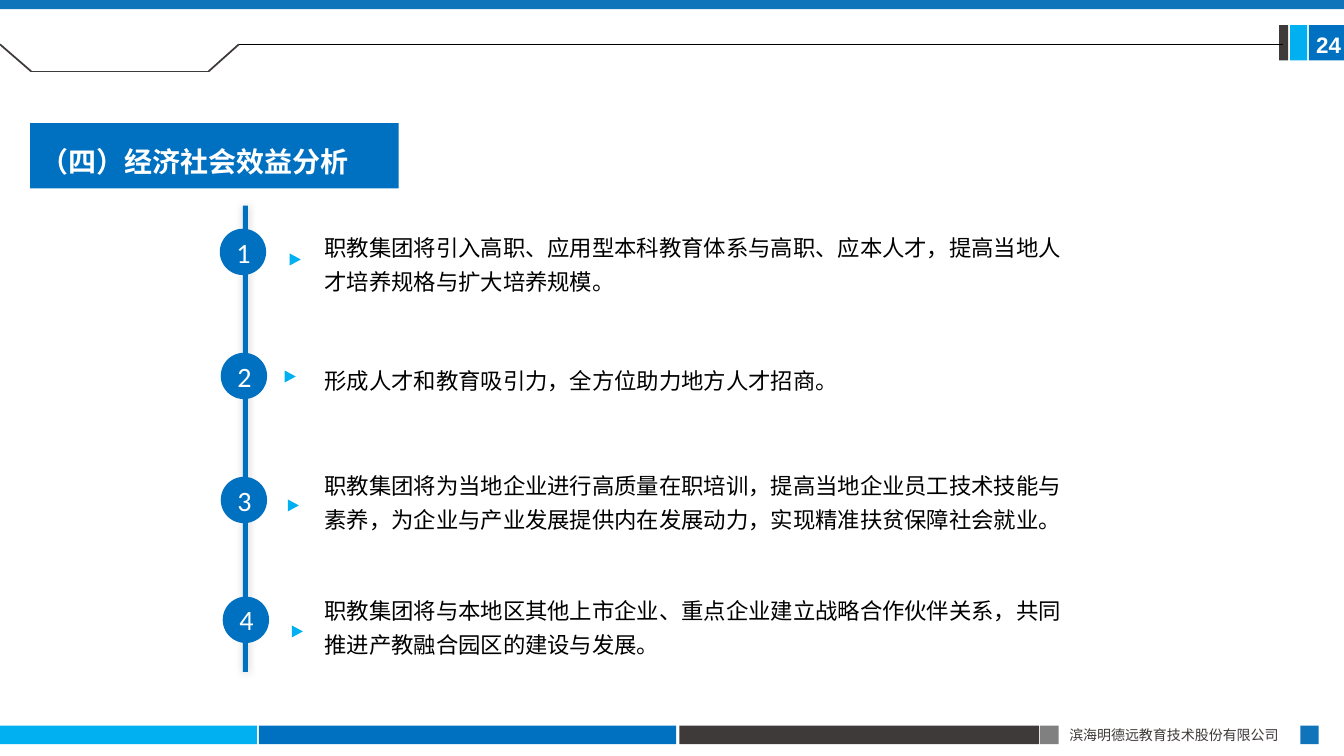
from dataclasses import dataclass

from lxml import etree
from pptx import Presentation
from pptx.dml.color import RGBColor
from pptx.enum import shapes, text
from pptx.oxml import ns
from pptx.util import Pt


@dataclass(frozen=True)
class Theme:
    blue: str = "0070C0"
    trim: str = "1074BB"
    sky: str = "00B0F0"
    dark: str = "3E3A39"
    grey: str = "808080"
    white: str = "FFFFFF"
    black: str = "000000"
    latin: str = "Calibri"
    number: str = "Arial"
    chinese: str = "Noto Sans CJK SC"
    small: float = 10
    body: float = 16
    heading: float = 20


THEME = Theme()
KIND = shapes.MSO_SHAPE
MIDDLE = text.MSO_ANCHOR.MIDDLE
CENTER = text.PP_ALIGN.CENTER

# Badge left and top, arrow left and top, text top and height, wording
POINTS = [
    (157, 163.4, 206.6, 181.4, 150.5, 72,
     "职教集团将引入高职、应用型本科教育体系与高职、应本人才，提高当地人才培养规格与扩大培养规模。"),
    (157.7, 252, 203, 265, 244.1, 51.1,
     "形成人才和教育吸引力，全方位助力地方人才招商。"),
    (157.7, 340.6, 205.2, 357.1, 331.2, 51.1,
     "职教集团将为当地企业进行高质量在职培训，提高当地企业员工技术技能与素养，"
     "为企业与产业发展提供内在发展动力，实现精准扶贫保障社会就业。"),
    (159.1, 426.2, 208.1, 447.1, 419.8, 51.8,
     "职教集团将与本地区其他上市企业、重点企业建立战略合作伙伴关系，共同推进产教融合园区的建设与发展。"),
]


def add_block(page, left, top, width, height, color, kind=KIND.RECTANGLE):
    block = page.shapes.add_shape(kind, Pt(left), Pt(top), Pt(width), Pt(height))
    block.shadow.inherit = False
    block.fill.solid()
    block.fill.fore_color.rgb = RGBColor.from_string(color)
    block.line.fill.background()
    return block


def add_line(page, start, end, color, weight):
    line = page.shapes.add_connector(
        shapes.MSO_CONNECTOR.STRAIGHT, *(Pt(value) for value in (*start, *end)))
    line.line.color.rgb = RGBColor.from_string(color)
    line.line.width = Pt(weight)
    etree.SubElement(line._element.spPr, ns.qn("a:effectLst"))


def write(box, *parts, size=THEME.body, color=THEME.white, bold=False,
          align=text.PP_ALIGN.LEFT, anchor=MIDDLE, spacing=None, inset=None):
    """Write one paragraph from (wording, font) parts."""
    frame = box.text_frame
    frame.word_wrap = True
    frame.vertical_anchor = anchor
    if inset is not None:
        frame.margin_left = frame.margin_right = Pt(inset)
        frame.margin_top = frame.margin_bottom = Pt(inset)
    para = frame.paragraphs[0]
    para.alignment = align
    para.line_spacing = spacing
    for wording, font in parts:
        span = para.add_run()
        span.text = wording
        span.font.name = font
        span.font.size = Pt(size)
        span.font.bold = bold
        span.font.color.rgb = RGBColor.from_string(color)
        etree.SubElement(span._r.get_or_add_rPr(), ns.qn("a:ea"),
                         typeface=THEME.chinese)


def add_text(page, left, top, width, height, *parts, **style):
    box = page.shapes.add_textbox(Pt(left), Pt(top), Pt(width), Pt(height))
    write(box, *parts, **style)


def add_glow(block, color, blur, opacity):
    effects = block._element.spPr.find(ns.qn("a:effectLst"))
    shadow = etree.SubElement(effects, ns.qn("a:outerShdw"),
                              blurRad=str(Pt(blur)), dist="0", dir="13500000")
    tint = etree.SubElement(shadow, ns.qn("a:srgbClr"), val=color)
    etree.SubElement(tint, ns.qn("a:alpha"), val=str(opacity * 1000))


def add_footer(page):
    for left, width, color in [
            (0, 183.6, THEME.sky), (185, 298.1, THEME.blue),
            (485.3, 257, THEME.dark), (743, 13.2, THEME.grey),
            (928.8, 13.2, THEME.trim)]:
        add_block(page, left, 518.4, width, 13.2, color)
    add_text(page, 756.7, 515.5, 172.8, 19.4,
             ("滨海明德远教育技术股份有限公司", THEME.chinese),
             size=THEME.small, color=THEME.dark,
             align=text.PP_ALIGN.JUSTIFY, anchor=text.MSO_ANCHOR.TOP)


def add_header(page):
    add_block(page, 0, 0, 960, 6.5, THEME.trim)
    for left, width, color in [(935, 25, THEME.blue), (921.6, 12.2, THEME.sky),
                               (913.7, 6.5, THEME.dark)]:
        add_block(page, left, 18, width, 25.2, color)
    add_text(page, 933.1, 18.7, 36, 26.6, ("24", THEME.number),
             bold=True, anchor=text.MSO_ANCHOR.TOP)
    # Notched rule
    notch = [(0, 31.7), (22.3, 51), (149, 51), (170.6, 31.7)]
    for start, end in zip(notch, notch[1:]):
        add_line(page, start, end, THEME.dark, 1.25)
    add_line(page, notch[-1], (916.6, 31.7), THEME.black, 0.5)


def add_point(page, number, badge_left, badge_top, arrow_left, arrow_top,
              text_top, text_height, wording):
    badge = add_block(page, badge_left, badge_top, 33.1, 33.1, THEME.blue, KIND.OVAL)
    write(badge, (str(number), THEME.latin), size=THEME.heading, align=CENTER)
    arrow = add_block(page, arrow_left, arrow_top, 8.6, 7.9, THEME.sky,
                      KIND.ISOSCELES_TRIANGLE)
    arrow.rotation = 90
    add_text(page, 231.8, text_top, 531.7, text_height, (wording, THEME.chinese),
             color=THEME.black, spacing=Pt(24), inset=0)


def main():
    deck = Presentation()
    deck.slide_width, deck.slide_height = Pt(960), Pt(540)
    page = deck.slides.add_slide(deck.slide_layouts[6])
    add_footer(page)
    add_header(page)
    # Timeline
    spine = add_block(page, 173.5, 146.9, 3.6, 333, THEME.blue)
    add_glow(spine, THEME.black, 6, 20)
    for number, point in enumerate(POINTS, 1):
        add_point(page, number, *point)
    # Section title
    title = add_block(page, 21.6, 88, 263.2, 46.6, THEME.blue)
    write(title, ("（四）", THEME.latin), ("经济社会效益分析", THEME.chinese),
          size=THEME.heading, bold=True, spacing=1.3)
    deck.save("out.pptx")


if __name__ == "__main__":
    main()
